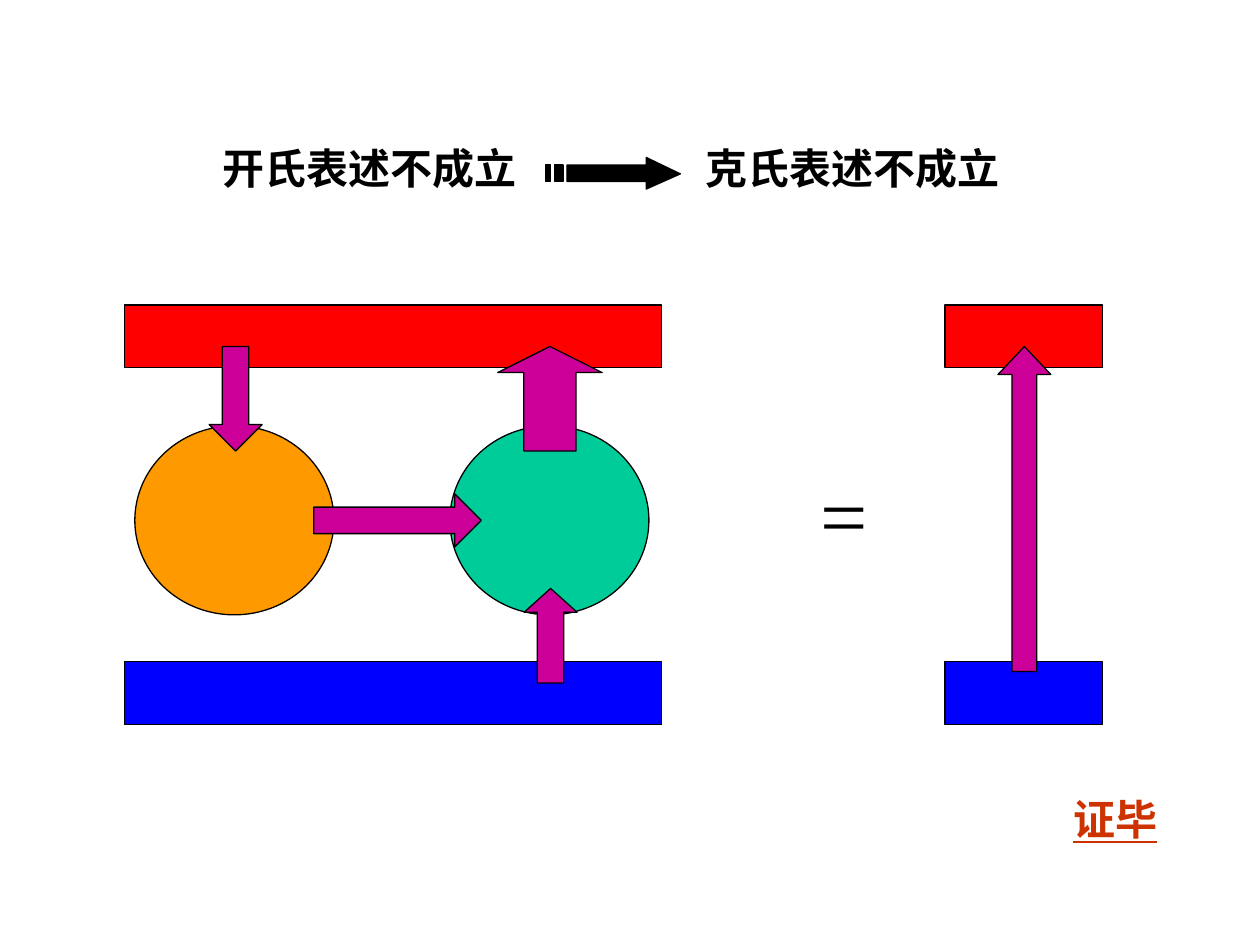
from pptx import Presentation
from pptx.dml.color import RGBColor
from pptx.enum.shapes import MSO_SHAPE as Shape
from pptx.enum.text import MSO_AUTO_SIZE as AutoSize
from pptx.util import Pt

EMU_PER_PX = 9144  # 100 px to the inch
COLORS = {
    "black": "000000",
    "hot": "FF0000",
    "cold": "0000FF",
    "engine": "FF9900",
    "refrigerator": "00CC99",
    "flow": "CC0099",
    "proof": "CC3300",
}


def px(length):
    return length * EMU_PER_PX


def color(name):
    return RGBColor.from_string(COLORS[name])


class DiagramSlide:
    font_name = "Times New Roman"
    line_width = Pt(0.75)

    def __init__(self, slide):
        self.shapes = slide.shapes

    def paint(self, shape, fill):
        shape.shadow.inherit = False
        shape.fill.solid()
        shape.fill.fore_color.rgb = color(fill)
        shape.line.color.rgb = color("black")
        shape.line.width = self.line_width

    def block(self, kind, box, fill, adjustments=()):
        shape = self.shapes.add_shape(kind, *map(px, box))
        for index, value in enumerate(adjustments):
            shape.adjustments[index] = value
        self.paint(shape, fill)

    def flow_arrow(self, kind, box, shaft=0.5, head=0.5):
        self.block(kind, box, "flow", (shaft, head))

    def reservoirs(self, left, width):
        """Draw the hot bar above and the cold bar below."""
        for top, fill in ((242, "hot"), (525, "cold")):
            self.block(Shape.RECTANGLE, (left, top, width, 50), fill)

    def outline(self, contours, fill):
        """Draw closed contours as one freeform."""
        builder = None
        for start, *points in contours:
            if builder is None:
                builder = self.shapes.build_freeform(*start, scale=EMU_PER_PX)
            else:
                builder.move_to(*start)
            builder.add_line_segments(points, close=True)
        self.paint(builder.convert_to_shape(), fill)

    def text(self, words, box, size=24, fill="black", bold=True,
             underline=None, wrap=False):
        frame = self.shapes.add_textbox(*map(px, box)).text_frame
        frame.word_wrap = wrap
        frame.auto_size = AutoSize.SHAPE_TO_FIT_TEXT
        paragraph = frame.paragraphs[0]
        paragraph.text = words
        font = paragraph.font
        font.name = self.font_name
        font.size = Pt(size)
        font.bold = bold
        font.underline = underline
        font.color.rgb = color(fill)


def stripe(left, right, top=131, bottom=144):
    return [(left, top), (left, bottom), (right, bottom), (right, top)]


def main():
    presentation = Presentation()
    presentation.slide_width = px(1000)
    presentation.slide_height = px(750)
    diagram = DiagramSlide(
        presentation.slides.add_slide(presentation.slide_layouts[6]))

    # Statement: one failure implies the other
    diagram.text("开氏表述不成立", (167, 108, 255, 50))
    diagram.text("克氏表述不成立", (550, 108, 255, 50))
    arrow = [(513, 125), (513, 131), (450, 131), (450, 144),
             (513, 144), (513, 150), (540, 138)]
    diagram.outline([arrow, stripe(440, 447), stripe(433, 437)], "black")

    # Engine driving a refrigerator between the reservoirs
    diagram.reservoirs(99, 426)
    for left, fill in ((107, "engine"), (357, "refrigerator")):
        diagram.block(Shape.OVAL, (left, 338, 158, 150), fill)
    diagram.flow_arrow(Shape.DOWN_ARROW, (166, 275, 42, 83))
    diagram.flow_arrow(Shape.RIGHT_ARROW, (249, 392, 133, 42))
    diagram.flow_arrow(Shape.UP_ARROW, (395, 275, 83, 83), head=0.25)
    diagram.flow_arrow(Shape.UP_ARROW, (416, 467, 42, 75), head=0.45)

    # Equivalent direct flow from cold to hot
    diagram.text("=", (641, 362, 58, 90), size=48, bold=False, wrap=True)
    diagram.reservoirs(750, 125)
    diagram.flow_arrow(Shape.UP_ARROW, (792, 275, 42, 258), 0.47, 0.53)

    diagram.text("证毕", (842, 625, 87, 50), fill="proof", underline=True)

    presentation.save("out.pptx")


if __name__ == "__main__":
    main()
